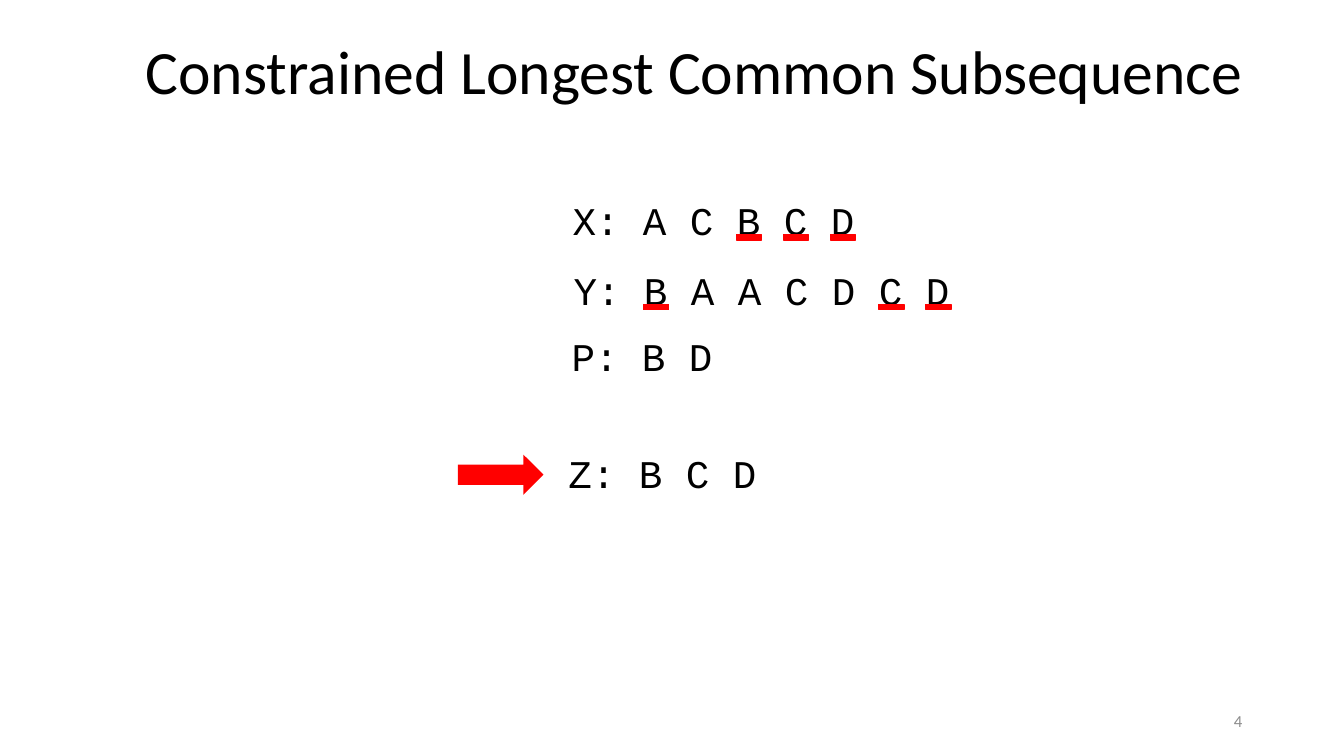
from pptx import Presentation
from pptx.dml.color import RGBColor
from pptx.enum.shapes import MSO_SHAPE as Shape
from pptx.enum.text import MSO_ANCHOR as Anchor, MSO_AUTO_SIZE as AutoSize, PP_ALIGN as Align
from pptx.util import Inches, Pt

BLACK = RGBColor(0x00, 0x00, 0x00)
GRAY = RGBColor(0x8C, 0x8C, 0x8C)
RED = RGBColor(0xFF, 0x00, 0x00)

LETTER_SIZE = 28
ADVANCE = 0.6 * LETTER_SIZE / 72  # width of one Courier New character
INSET = 0.1
MARK_WIDTH, MARK_HEIGHT = 0.34, 0.22


class Page:
    heading_font = "Calibri"
    sequence_font = "Courier New"

    def __init__(self, deck):
        self.slide = deck.slides.add_slide(deck.slide_layouts[6])

    def text(self, text, left, top, width, height, *, size=LETTER_SIZE, font=sequence_font,
             color=BLACK, align=Align.LEFT, anchor=Anchor.TOP, wrap=False, grow=True):
        box = self.slide.shapes.add_textbox(Inches(left), Inches(top), Inches(width), Inches(height))
        frame = box.text_frame
        frame.word_wrap = wrap
        frame.auto_size = AutoSize.SHAPE_TO_FIT_TEXT if grow else AutoSize.NONE
        frame.vertical_anchor = anchor
        para = frame.paragraphs[0]
        para.alignment = align
        span = para.add_run()
        span.text = text
        span.font.name = font
        span.font.size = Pt(size)
        span.font.color.rgb = color

    def shape(self, kind, left, top, width, height, *, outlined=False):
        shape = self.slide.shapes.add_shape(kind, Inches(left), Inches(top), Inches(width), Inches(height))
        shape.shadow.inherit = False
        shape.fill.solid()
        shape.fill.fore_color.rgb = RED
        if outlined:
            shape.line.color.rgb = RED
            shape.line.width = Pt(1)
        else:
            shape.line.fill.background()

    def underline(self, row_left, row_top, index):
        """Mark the letter at this index, after the three-character row label."""
        center = row_left + INSET + (3 + 2 * index + 0.5) * ADVANCE
        self.shape(Shape.MATH_MINUS, center - MARK_WIDTH / 2, row_top + 0.345,
                   MARK_WIDTH, MARK_HEIGHT, outlined=True)


def main():
    deck = Presentation()
    deck.slide_width, deck.slide_height = Inches(13.33), Inches(7.5)
    page = Page(deck)

    # Title
    page.text("Constrained Longest Common Subsequence ", 1.29, 0.28, 11.34, 0.84,
              size=44, font=Page.heading_font, align=Align.CENTER)

    # Resulting subsequence
    page.text("Z: B C D", 5.54, 4.41, 2.16, 1.04, wrap=True)
    page.shape(Shape.RIGHT_ARROW, 4.54, 4.51, 0.85, 0.4)

    # Input sequences, with the indexes of their matched letters
    sequences = [
        ("X: A C B C D", 5.58, 1.9, 3.02, (2, 3, 4)),
        ("Y: B A A C D C D", 5.59, 2.59, 3.96, (0, 5, 6)),
        ("P: B D", 5.57, 3.25, 1.61, ()),
    ]
    for sequence, left, top, width, matches in sequences:
        page.text(sequence, left, top, width, 0.57)
        for index in matches:
            page.underline(left, top, index)

    # Page number
    page.text("4", 9.42, 6.95, 3, 0.4, size=12, font=Page.heading_font, color=GRAY,
              align=Align.RIGHT, anchor=Anchor.MIDDLE, wrap=True, grow=False)

    deck.save("out.pptx")


if __name__ == "__main__":
    main()
